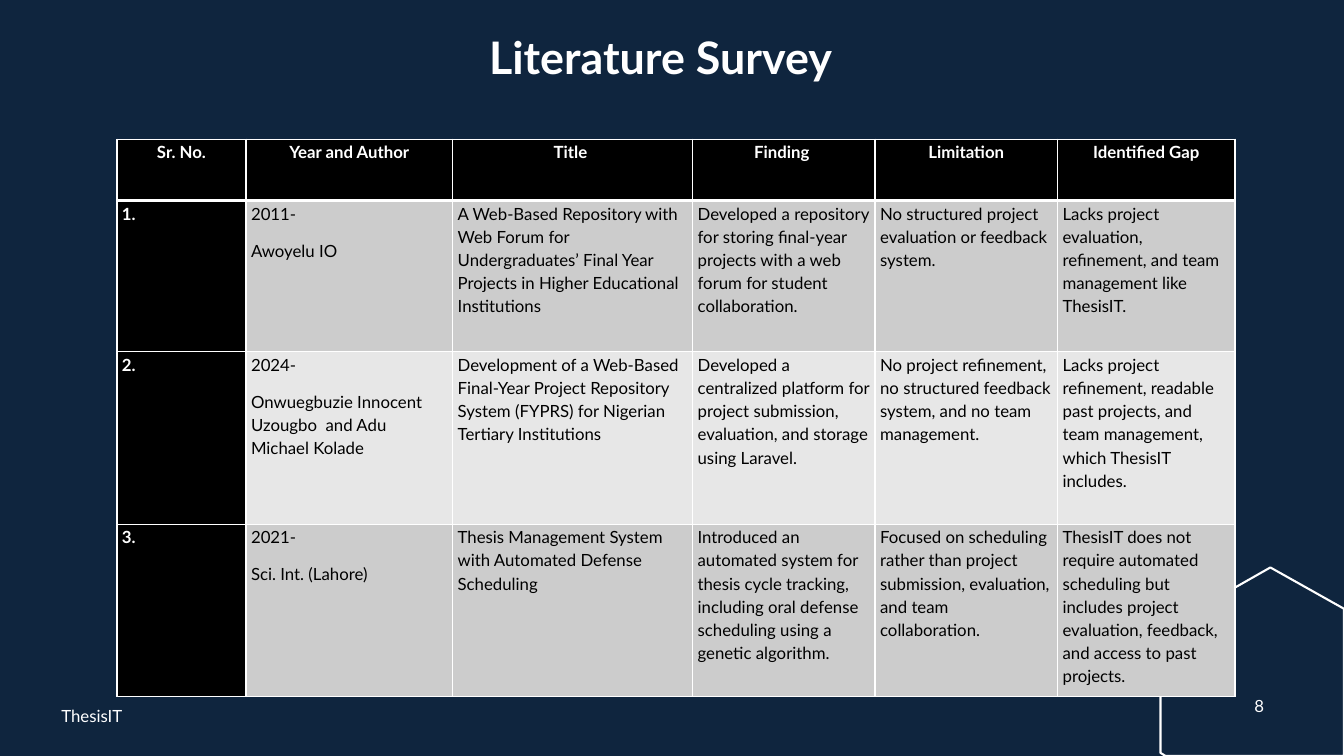
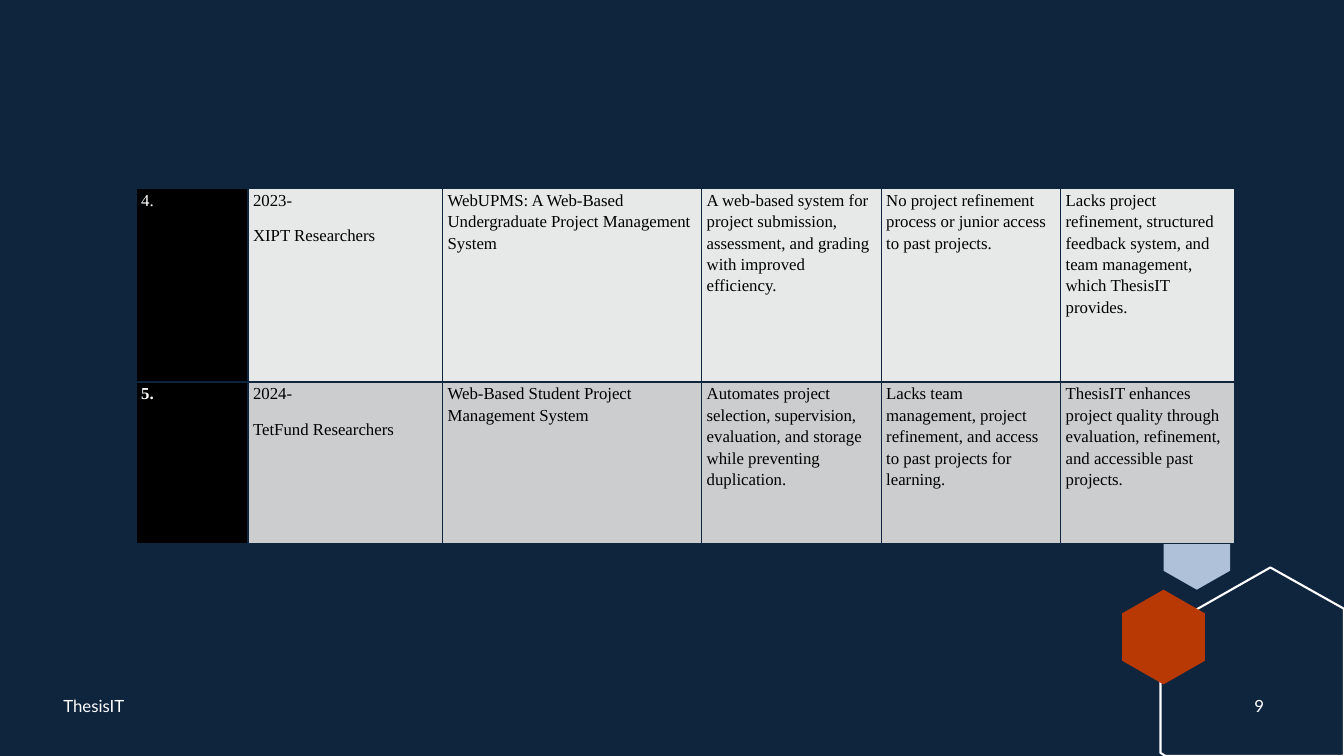
from lxml import etree
from pptx import Presentation
from pptx.dml.color import RGBColor
from pptx.enum.text import MSO_ANCHOR, PP_ALIGN
from pptx.oxml.ns import qn
from pptx.util import Inches, Pt

LEFT, CENTER = PP_ALIGN.LEFT, PP_ALIGN.CENTER
TOP, MIDDLE = MSO_ANCHOR.TOP, MSO_ANCHOR.MIDDLE
TITLE_ONLY, BLANK = 5, 6

NAVY, WHITE, BLACK = "0F253E", "FFFFFF", "000000"
PALE_BLUE, ORANGE = "AEC1D8", "B83903"
SANS, SERIF = "Lato", "Times New Roman"
FOOTER = "ThesisIT"

HEADINGS = ["Sr. No.", "Year and Author", "Title ", "Finding ", "Limitation", "Identified Gap"]
EARLY_STUDIES = [
    ["1.", "2011-\nAwoyelu IO",
     "A Web-Based Repository with Web Forum for Undergraduates’ Final Year Projects in Higher Educational Institutions",
     "Developed a repository for storing final-year projects with a web forum for student collaboration.",
     "No structured project evaluation or feedback system.",
     "Lacks project evaluation, refinement, and team management like ThesisIT."],
    ["2.", "2024-\nOnwuegbuzie Innocent Uzougbo  and Adu Michael Kolade",
     "Development of a Web-Based Final-Year Project Repository System (FYPRS) for Nigerian Tertiary Institutions",
     "Developed a centralized platform for project submission, evaluation, and storage using Laravel.",
     "No project refinement, no structured feedback system, and no team management.",
     "Lacks project refinement, readable past projects, and team management, which ThesisIT includes."],
    ["3.", "2021-\nSci. Int. (Lahore)",
     "Thesis Management System with Automated Defense Scheduling",
     "Introduced an automated system for thesis cycle tracking, including oral defense scheduling using a genetic algorithm.",
     "Focused on scheduling rather than project submission, evaluation, and team collaboration.",
     "ThesisIT does not require automated scheduling but includes project evaluation, feedback, and access to past projects."],
]
LATER_STUDIES = [
    ["4.", "2023-\nXIPT Researchers",
     "WebUPMS: A Web-Based Undergraduate Project Management System",
     "A web-based system for project submission, assessment, and grading with improved efficiency.",
     "No project refinement process or junior access to past projects.",
     "Lacks project refinement, structured feedback system, and team management, which ThesisIT provides."],
    ["5.", "2024-\nTetFund Researchers",
     "Web-Based Student Project Management System",
     "Automates project selection, supervision, evaluation, and storage while preventing duplication.",
     "Lacks team management, project refinement, and access to past projects for learning.",
     "ThesisIT enhances project quality through evaluation, refinement, and accessible past projects."],
]
PAGES = [
    {"title": "Literature Survey", "number": "8", "footer_at": (0.51, 6.9),
     "headings": HEADINGS, "studies": EARLY_STUDIES, "at": (1.16, 1.38),
     "columns": [1.28, 2.05, 2.38, 1.81, 1.81, 1.76], "rows": [0.61, 1.5, 1.71, 1.71],
     "font": SANS, "border": WHITE, "bands": ["CCCCCC", "E7E7E7"], "plain": []},
    {"title": None, "number": "9", "footer_at": (0.53, 6.8),
     "headings": None, "studies": LATER_STUDIES, "at": (1.35, 1.87),
     "columns": [1.11, 1.93, 2.57, 1.78, 1.78, 1.73], "rows": [1.92, 1.6],
     "font": SERIF, "border": NAVY, "bands": ["E7E8E8", "CCCDCE"], "plain": ["4."]},
]

HOUSE = [(12.6, 5.63), (13.33, 6.04), (13.33, 7.5), (11.56, 7.5), (11.51, 7.47), (11.51, 6.25)]


def color(value):
    return RGBColor.from_string(value)


def paint(fill, value):
    fill.solid()
    fill.fore_color.rgb = color(value)


def write(para, text, font, size, value, bold=False, align=LEFT):
    para.alignment = align
    span = para.add_run()
    span.text = text
    span.font.name = font
    span.font.size = Pt(size)
    span.font.bold = bold
    span.font.color.rgb = color(value)


def hexagon(left, top, width, height):
    right, middle = left + width, left + width / 2
    upper, lower = top + height / 4, top + height * 3 / 4
    return [(middle, top), (right, upper), (right, lower),
            (middle, top + height), (left, lower), (left, upper)]


def add_outline(page, points, fill=None, line=None):
    corners = [(Inches(x), Inches(y)) for x, y in points]
    builder = page.shapes.build_freeform(*corners[0])
    builder.add_line_segments(corners[1:], close=True)
    shape = builder.convert_to_shape()
    shape.shadow.inherit = False
    if fill:
        paint(shape.fill, fill)
    else:
        shape.fill.background()
    if line:
        paint(shape.line.fill, line)
        shape.line.width = Pt(1.5)
    else:
        shape.line.fill.background()


def add_label(page, text, left, top, width, align=LEFT):
    box = page.shapes.add_textbox(Inches(left), Inches(top), Inches(width), Inches(0.4))
    box.text_frame.word_wrap = True
    box.text_frame.vertical_anchor = MIDDLE
    write(box.text_frame.paragraphs[0], text, SANS, 12, WHITE, align=align)


def add_title(page, text):
    title = page.shapes.title
    title.left, title.top, title.width, title.height = map(Inches, (4.75, 0.3, 3.69, 0.76))
    title.text_frame.vertical_anchor = TOP
    para = title.text_frame.paragraphs[0]
    para.line_spacing = 0.9
    write(para, text, SANS, 32, WHITE, bold=True)


def set_borders(cell, value, top, bottom):
    properties = cell._tc.get_or_add_tcPr()
    for side, points in (("L", 1), ("R", 1), ("T", top), ("B", bottom)):
        line = etree.SubElement(properties, qn(f"a:ln{side}"), w=str(Pt(points)))
        fill = etree.SubElement(line, qn("a:solidFill"))
        etree.SubElement(fill, qn("a:srgbClr"), val=value)


def fill_cell(cell, text, font, value, bold, align):
    cell.margin_left = cell.margin_right = Inches(0.05)
    cell.margin_top = cell.margin_bottom = 0
    frame = cell.text_frame
    for index, line in enumerate(text.split("\n")):
        para = frame.add_paragraph() if index else frame.paragraphs[0]
        para.line_spacing = 1.15
        para.space_after = Pt(10)
        write(para, line, font, 12, value, bold, align)


def add_survey(page, plan):
    headings = [plan["headings"]] if plan["headings"] else []
    records = headings + plan["studies"]
    columns, rows = plan["columns"], plan["rows"]
    left, top = plan["at"]
    table = page.shapes.add_table(len(rows), len(columns), Inches(left), Inches(top),
                                  Inches(sum(columns)), Inches(sum(rows))).table
    table.first_row = table.horz_banding = False
    for column, width in zip(table.columns, columns):
        column.width = Inches(width)
    for row, height in zip(table.rows, rows):
        row.height = Inches(height)
    for r, record in enumerate(records):
        study = r - len(headings)
        is_heading = study < 0
        after_heading = bool(headings) and study == 0
        for c, text in enumerate(record):
            cell = table.cell(r, c)
            dark = is_heading or c == 0
            set_borders(cell, plan["border"], 3 if after_heading else 1, 3 if is_heading else 1)
            paint(cell.fill, BLACK if dark else plan["bands"][study % 2])
            fill_cell(cell, text, plan["font"], WHITE if dark else BLACK,
                      dark and text not in plan["plain"], CENTER if is_heading else LEFT)


def add_page(deck, plan):
    page = deck.slides.add_slide(deck.slide_layouts[TITLE_ONLY if plan["title"] else BLANK])
    add_outline(page, hexagon(11.54, 5.1, 0.66, 0.75), fill=PALE_BLUE)
    add_outline(page, HOUSE, line=WHITE)
    add_outline(page, hexagon(11.13, 5.85, 0.82, 0.94), fill=ORANGE)
    if plan["title"]:
        add_title(page, plan["title"])
    add_label(page, FOOTER, *plan["footer_at"], 4.5)
    add_label(page, plan["number"], 12.24, 6.8, 0.5, CENTER)
    add_survey(page, plan)


def main():
    deck = Presentation()
    deck.slide_width, deck.slide_height = Inches(13.33), Inches(7.5)
    paint(deck.slide_master.background.fill, NAVY)
    for plan in PAGES:
        add_page(deck, plan)
    deck.save("out.pptx")


if __name__ == "__main__":
    main()
